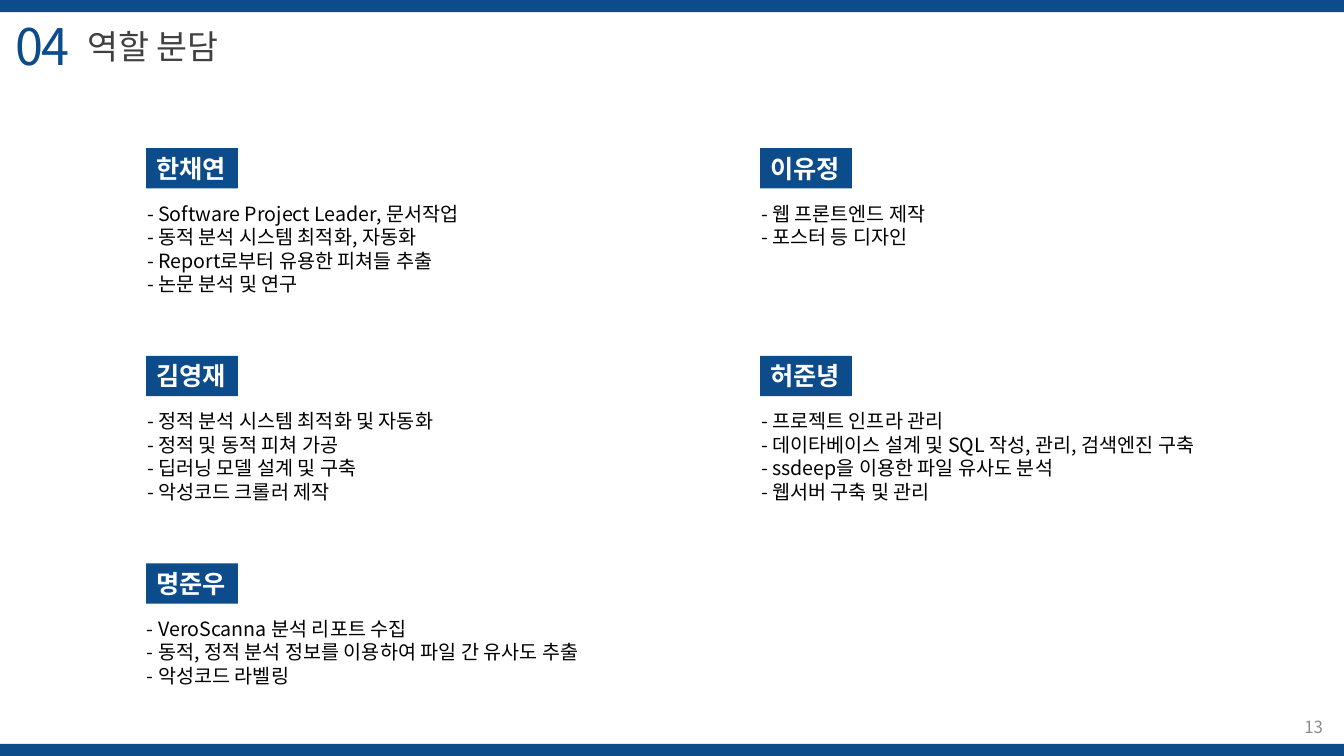
from dataclasses import dataclass

from lxml.etree import SubElement
from pptx import Presentation
from pptx.dml.color import RGBColor
from pptx.enum.shapes import MSO_SHAPE
from pptx.enum.text import MSO_ANCHOR, PP_ALIGN
from pptx.oxml.ns import qn
from pptx.util import Emu, Pt

EMU_PER_PX = 9144  # 100 px to the inch
SLIDE_WIDTH, SLIDE_HEIGHT = 1333, 750
BAR_HEIGHT = 12
FONT = "Noto Sans CJK KR"
LINE_SPACING = 1.2
BLUE, WHITE, BLACK = "0C4C8A", "FFFFFF", "000000"
DARK_GRAY, PAGE_GRAY = "404040", "8C8C8C"

# Grid of members
COLUMN_LEFTS = (145, 754)
FIRST_ROW, ROW_PITCH = 147, 206
NAME_WIDTH, NAME_HEIGHT = 91, 40
TASKS_INDENT, TASKS_DROP = 9, 48


@dataclass(frozen=True)
class Style:
    size: int
    color: str
    bold: bool = False
    tracking: int = 0
    align: PP_ALIGN = PP_ALIGN.LEFT


@dataclass(frozen=True)
class Member:
    name: str
    column: int
    row: int
    tasks_width: int
    tasks: tuple[str, ...]


NAME_STYLE = Style(18, WHITE, bold=True)
TASK_STYLE = Style(14, BLACK)

MEMBERS = (
    Member("명준우", 0, 2, 460, (
        "- VeroScanna 분석 리포트 수집",
        "- 동적, 정적 분석 정보를 이용하여 파일 간 유사도 추출",
        "- 악성코드 라벨링",
    )),
    Member("이유정", 1, 0, 200, (
        "- 웹 프론트엔드 제작",
        "- 포스터 등 디자인",
    )),
    Member("한채연", 0, 0, 345, (
        "- Software Project Leader, 문서작업",
        "- 동적 분석 시스템 최적화, 자동화",
        "- Report로부터 유용한 피쳐들 추출",
        "- 논문 분석 및 연구",
    )),
    Member("허준녕", 1, 1, 460, (
        "- 프로젝트 인프라 관리",
        "- 데이타베이스 설계 및 SQL 작성, 관리, 검색엔진 구축",
        "- ssdeep을 이용한 파일 유사도 분석",
        "- 웹서버 구축 및 관리",
    )),
    Member("김영재", 0, 1, 325, (
        "- 정적 분석 시스템 최적화 및 자동화",
        "- 정적 및 동적 피쳐 가공",
        "- 딥러닝 모델 설계 및 구축",
        "- 악성코드 크롤러 제작",
    )),
)


def px(length: int) -> Emu:
    return Emu(length * EMU_PER_PX)


def rgb(color: str) -> RGBColor:
    return RGBColor.from_string(color)


def write_lines(frame, lines: tuple[str, ...], style: Style) -> None:
    for index, line in enumerate(lines):
        paragraph = frame.paragraphs[0] if index == 0 else frame.add_paragraph()
        paragraph.alignment = style.align
        paragraph.line_spacing = Pt(style.size * LINE_SPACING)
        run = paragraph.add_run()
        run.text = line
        font = run.font
        font.size, font.bold, font.name = Pt(style.size), style.bold, FONT
        font.color.rgb = rgb(style.color)
        # Korean typeface and letter spacing
        properties = run._r.get_or_add_rPr()
        SubElement(properties, qn("a:ea"), typeface=FONT)
        if style.tracking:
            properties.set("spc", str(style.tracking))


def add_block(shapes, left: int, top: int, width: int, height: int):
    block = shapes.add_shape(MSO_SHAPE.RECTANGLE, px(left), px(top), px(width), px(height))
    block.shadow.inherit = False
    block.fill.solid()
    block.fill.fore_color.rgb = rgb(BLUE)
    block.line.fill.background()
    return block


def add_text(shapes, left: int, top: int, width: int, height: int,
             lines: tuple[str, ...], style: Style, wrap: bool = False):
    frame = shapes.add_textbox(px(left), px(top), px(width), px(height)).text_frame
    frame.word_wrap = wrap
    write_lines(frame, lines, style)
    return frame


def add_member(slide, member: Member) -> None:
    shapes = slide.shapes.add_group_shape().shapes
    left = COLUMN_LEFTS[member.column]
    top = FIRST_ROW + member.row * ROW_PITCH

    name_frame = add_block(shapes, left, top, NAME_WIDTH, NAME_HEIGHT).text_frame
    name_frame.word_wrap = False
    name_frame.vertical_anchor = MSO_ANCHOR.TOP
    write_lines(name_frame, (member.name,), NAME_STYLE)

    tasks_height = 10 + round(23.5 * len(member.tasks))
    add_text(shapes, left - TASKS_INDENT, top + TASKS_DROP, member.tasks_width,
             tasks_height, member.tasks, TASK_STYLE, wrap=True)


def main() -> None:
    presentation = Presentation()
    presentation.slide_width = px(SLIDE_WIDTH)
    presentation.slide_height = px(SLIDE_HEIGHT)
    slide = presentation.slides.add_slide(presentation.slide_layouts[6])

    # Bars at the bottom and top edges
    for bar_top in (SLIDE_HEIGHT - BAR_HEIGHT, 0):
        add_block(slide.shapes, 0, bar_top, SLIDE_WIDTH, BAR_HEIGHT)

    # Section number and title
    add_text(slide.shapes, 6, 10, 77, 71, ("04",), Style(36, BLUE, tracking=-150))
    add_text(slide.shapes, 77, 21, 156, 50, ("역할 분담",), Style(24, DARK_GRAY))

    # Members and their tasks
    for member in MEMBERS:
        add_member(slide, member)

    # Page number
    page_number = add_text(slide.shapes, 1022, 701, 300, 40, ("13",),
                           Style(12, PAGE_GRAY, align=PP_ALIGN.RIGHT), wrap=True)
    page_number.vertical_anchor = MSO_ANCHOR.MIDDLE

    presentation.save("out.pptx")


if __name__ == "__main__":
    main()
